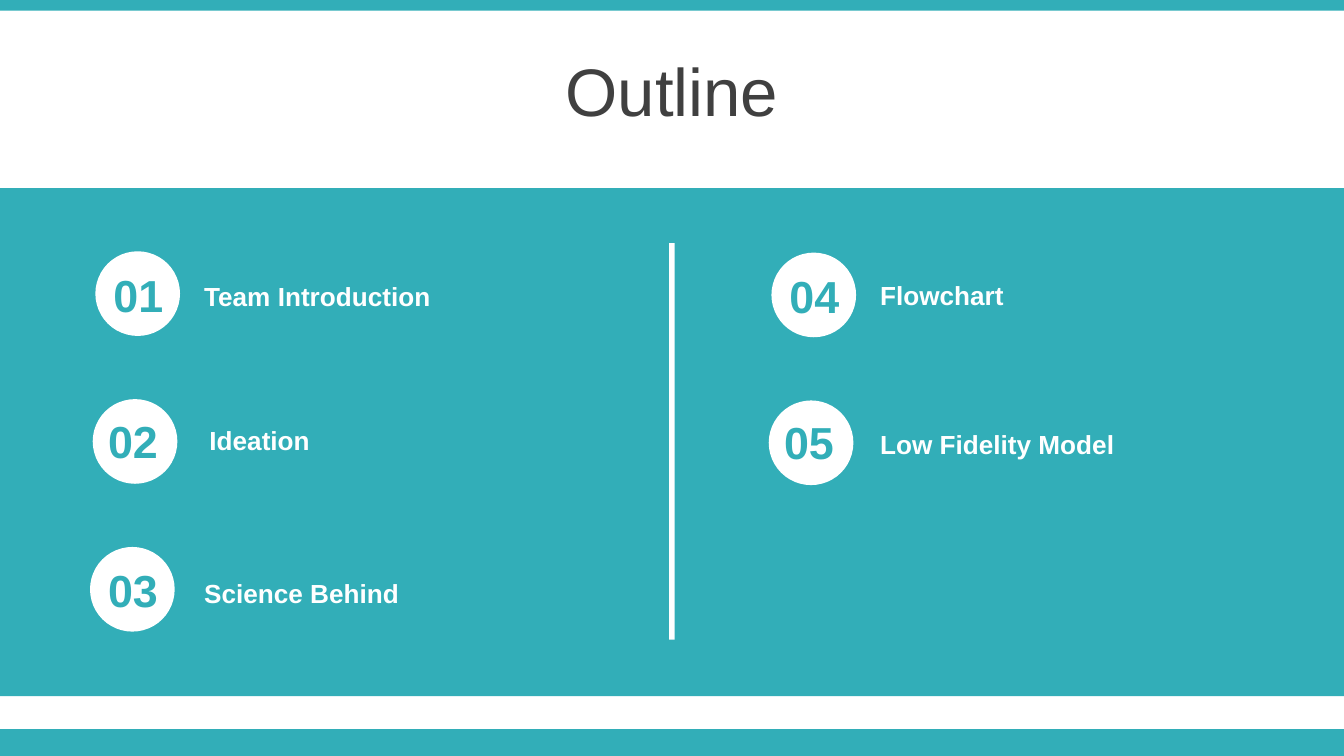
from pptx import Presentation
from pptx.dml.color import RGBColor
from pptx.enum.shapes import MSO_SHAPE as SHAPE
from pptx.enum.text import MSO_ANCHOR as ANCHOR, PP_ALIGN as ALIGN
from pptx.util import Inches, Pt

TEAL, WHITE, GREY = "32AEB8", "FFFFFF", "404040"
W = 10
H = W * 9 / 16

prs = Presentation()
prs.slide_width, prs.slide_height = Inches(W), Inches(H)
s = prs.slides.add_slide(prs.slide_layouts[5])


def add_block(kind, x, y, w, h, color):
    sp = s.shapes.add_shape(kind, Inches(x), Inches(y), Inches(w), Inches(h))
    sp.shadow.inherit = False
    sp.fill.solid()
    sp.fill.fore_color.rgb = RGBColor.from_string(color)
    sp.line.fill.background()


def set_text(sp, text, size, color, bold=False, align=ALIGN.LEFT):
    tf = sp.text_frame
    tf.word_wrap = True
    tf.text = text
    p = tf.paragraphs[0]
    p.alignment = align
    font = p.runs[0].font
    font.name, font.size, font.bold = "Arial", Pt(size), bold
    font.color.rgb = RGBColor.from_string(color)


# Bands across the slide: top edge, main panel, bottom edge
for top, height in [(0, 0.08), (1.4, 3.78), (H - 0.2, 0.2)]:
    add_block(SHAPE.RECTANGLE, 0, top, W, height, TEAL)

title = s.shapes.title
title.left, title.top = 0, Inches(0.35)
title.width, title.height = Inches(W), Inches(0.63)
set_text(title, "Outline", 36, GREY, align=ALIGN.CENTER)
title.text_frame.vertical_anchor = ANCHOR.MIDDLE

# Divider centred between the two columns
add_block(SHAPE.RECTANGLE, W / 2 - 0.02, 1.81, 0.04, 2.95, WHITE)

# Each topic: text, label left and top
topics = [
    ("Team Introduction", 1.42, 2.04),
    ("Ideation", 1.46, 3.11),
    ("Science Behind", 1.42, 4.25),
    ("Flowchart", 6.45, 2.03),
    ("Low Fidelity Model", 6.45, 3.14),
]
number_spots = [(0.68, 1.94), (0.64, 3.03), (0.64, 4.14)]
ROWS, ROW_H, COL_W, COL_DROP = 3, 1.1, 5.03, 0.01

for i, (topic, label_x, label_y) in enumerate(topics):
    col, row = divmod(i, ROWS)
    dx, dy = col * COL_W, col * COL_DROP
    add_block(SHAPE.OVAL, 0.71 - 0.02 * row + dx, 1.87 + ROW_H * row + dy,
              0.63, 0.63, WHITE)

    x, y = number_spots[row]
    number = s.shapes.add_textbox(Inches(x + dx), Inches(y + dy), Inches(0.7), Inches(0.5))
    set_text(number, f"{i + 1:02}", 24, TEAL, True, ALIGN.CENTER)

    label = s.shapes.add_textbox(Inches(label_x), Inches(label_y), Inches(2.91), Inches(0.34))
    set_text(label, topic, 14, WHITE, True)

prs.save("out.pptx")
